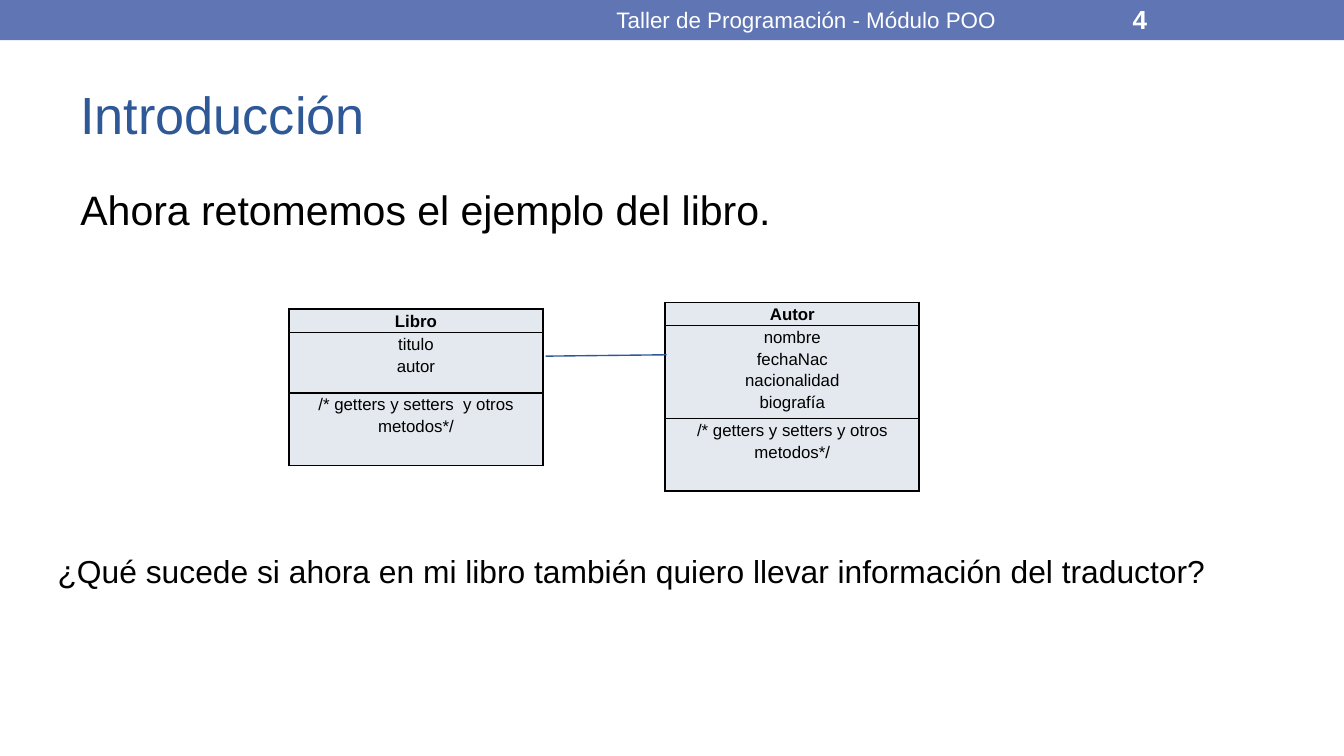
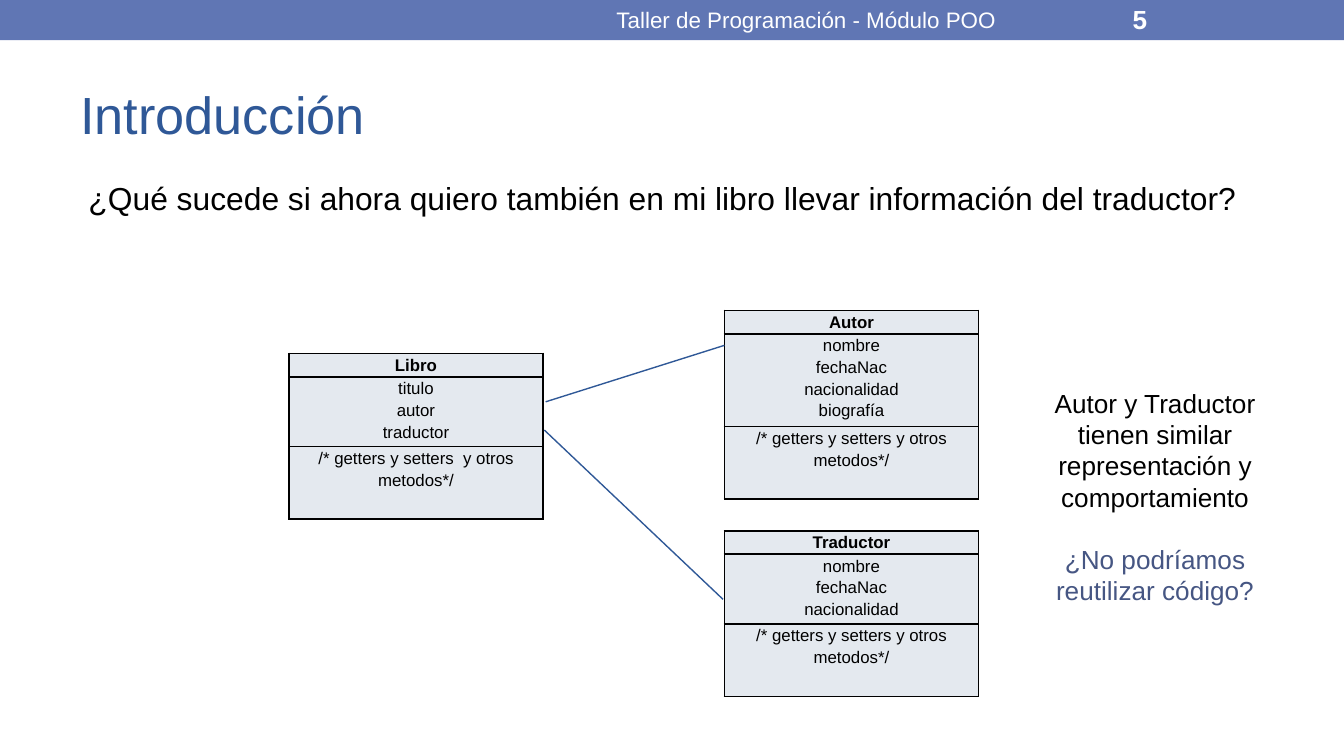
from lxml import etree
from pptx import Presentation
from pptx.dml.color import RGBColor
from pptx.enum.shapes import MSO_CONNECTOR, MSO_SHAPE
from pptx.enum.text import MSO_ANCHOR, PP_ALIGN
from pptx.oxml.ns import qn
from pptx.util import Inches, Pt

LEFT, CENTER = PP_ALIGN.LEFT, PP_ALIGN.CENTER
TOP, MIDDLE = MSO_ANCHOR.TOP, MSO_ANCHOR.MIDDLE
RECT, STRAIGHT = MSO_SHAPE.RECTANGLE, MSO_CONNECTOR.STRAIGHT

COLORS = {
    "band": "6076B4",
    "title": "2F5897",
    "text": "000000",
    "white": "FFFFFF",
    "cell": "E4E9EF",
    "ask": "465683",
}
FONT = "Arial"
WIDTH = 1.89
ROWS = [0.15, 0.45, 0.54]


def rgb(name):
    return RGBColor.from_string(COLORS[name])


def write(slide, at, lines, size, align=LEFT, anchor=TOP, bold=False, pad=0.05):
    """Add a text box; each line is (text, colour, points of space before)."""
    frame = slide.shapes.add_textbox(*map(Inches, at)).text_frame
    frame.word_wrap = True
    frame.vertical_anchor = anchor
    frame.margin_left = frame.margin_right = Inches(0.1)
    frame.margin_top = frame.margin_bottom = Inches(pad)
    for i, (text, color, space) in enumerate(lines):
        para = frame.paragraphs[0] if i == 0 else frame.add_paragraph()
        para.alignment = align
        para.space_before = Pt(space)
        run = para.add_run()
        run.text = text
        run.font.name = FONT
        run.font.size = Pt(size)
        run.font.bold = bold
        run.font.color.rgb = rgb(color)


PERSON = ["nombre", "fechaNac", "nacionalidad"]
BOOK = ["titulo", "autor"]
CODE = "/* getters y setters y otros metodos*/"
BOOKCODE = "/* getters y setters  y otros metodos*/"

# Body: box, text, size. Class: left, top, height, name, fields, methods.
PAGES = [
    {
        "body": [
            ((0.5, 1.32, 8.89, 0.66), "Ahora retomemos el ejemplo del libro.", 22),
            ((0.33, 4.06, 8.89, 0.81),
             "¿Qué sucede si ahora en mi libro también quiero llevar información del traductor?", 17),
        ],
        "classes": [
            (2.15, 2.3, 1.27, "Libro", BOOK, BOOKCODE),
            (4.95, 2.25, 1.4, "Autor", PERSON + ["biografía"], CODE),
        ],
        "links": [(4.06, 2.65, 4.96, 2.64)],
        "note": [],
    },
    {
        "body": [
            ((0.56, 1.28, 8.89, 0.81),
             "¿Qué sucede si ahora quiero también en mi libro llevar información del traductor?", 17),
        ],
        "classes": [
            (2.15, 2.63, 1.23, "Libro", BOOK + ["traductor"], BOOKCODE),
            (5.39, 2.31, 1.4, "Autor", PERSON + ["biografía"], CODE),
            (5.39, 3.95, 1.23, "Traductor", PERSON, CODE),
        ],
        "links": [(4.06, 2.99, 5.39, 2.57), (4.05, 3.2, 5.38, 4.46)],
        "note": [
            ("Autor y Traductor tienen similar representación y comportamiento", "text", 0),
            ("¿No podríamos reutilizar código?", "ask", 16.5),
        ],
    },
]

deck = Presentation()
deck.slide_width = Inches(10)
deck.slide_height = deck.slide_width * 9 // 16

for number, page in enumerate(PAGES, 4):
    slide = deck.slides.add_slide(deck.slide_layouts[6])

    band = slide.shapes.add_shape(RECT, 0, 0, deck.slide_width, Inches(0.3))
    band.shadow.inherit = False
    band.fill.solid()
    band.fill.fore_color.rgb = rgb("band")
    band.line.fill.background()
    write(slide, (0.5, 0.44, 9, 0.81), [("Introducción", "title", 0)], 28, anchor=MIDDLE)
    write(slide, (8.33, 0.01, 1.17, 0.27),
          [(str(number), "white", 0)], 14, anchor=MIDDLE, bold=True)

    for box, text, size in page["body"]:
        write(slide, box, [(text, "text", 3.6)], size)

    for left, top, tall, name, fields, code in page["classes"]:
        place = map(Inches, (left, top, WIDTH, tall))
        holder = slide.shapes.add_table(3, 1, *place)
        table = holder.table
        for row, (height, lines) in enumerate(zip(ROWS, ([name], fields, [code]))):
            table.rows[row].height = Inches(height)
            cell = table.cell(row, 0)
            cell.margin_left = cell.margin_right = Inches(0.07)
            cell.margin_top = cell.margin_bottom = 0
            props = cell._tc.get_or_add_tcPr()
            for side in ("a:lnL", "a:lnR", "a:lnT", "a:lnB"):
                edge = etree.SubElement(props, qn(side), w=str(Pt(1)))
                fill = etree.SubElement(edge, qn("a:solidFill"))
                etree.SubElement(fill, qn("a:srgbClr"), val=COLORS["text"])
            cell.fill.solid()
            cell.fill.fore_color.rgb = rgb("cell")
            for i, line in enumerate(lines):
                frame = cell.text_frame
                para = frame.paragraphs[0] if i == 0 else frame.add_paragraph()
                para.alignment = CENTER
                para.line_spacing = 1.15
                run = para.add_run()
                run.text = line
                run.font.name = FONT
                run.font.size = Pt(9)
                run.font.bold = row == 0
                run.font.color.rgb = rgb("text")
        # Row heights reset the frame, so its height comes last.
        holder.height = Inches(tall)

    for ends in page["links"]:
        link = slide.shapes.add_connector(STRAIGHT, *map(Inches, ends))
        link.line.color.rgb = rgb("title")
        link.line.width = Pt(0.75)
        etree.SubElement(link._element.spPr, qn("a:effectLst"))

    if page["note"]:
        write(slide, (7.53, 2.78, 2.13, 2.09), page["note"], 14, CENTER, pad=0.1)
    write(slide, (3.75, 0.01, 4.5, 0.27),
          [("Taller de Programación - Módulo POO", "white", 0)], 12, CENTER, MIDDLE)

deck.save("out.pptx")
